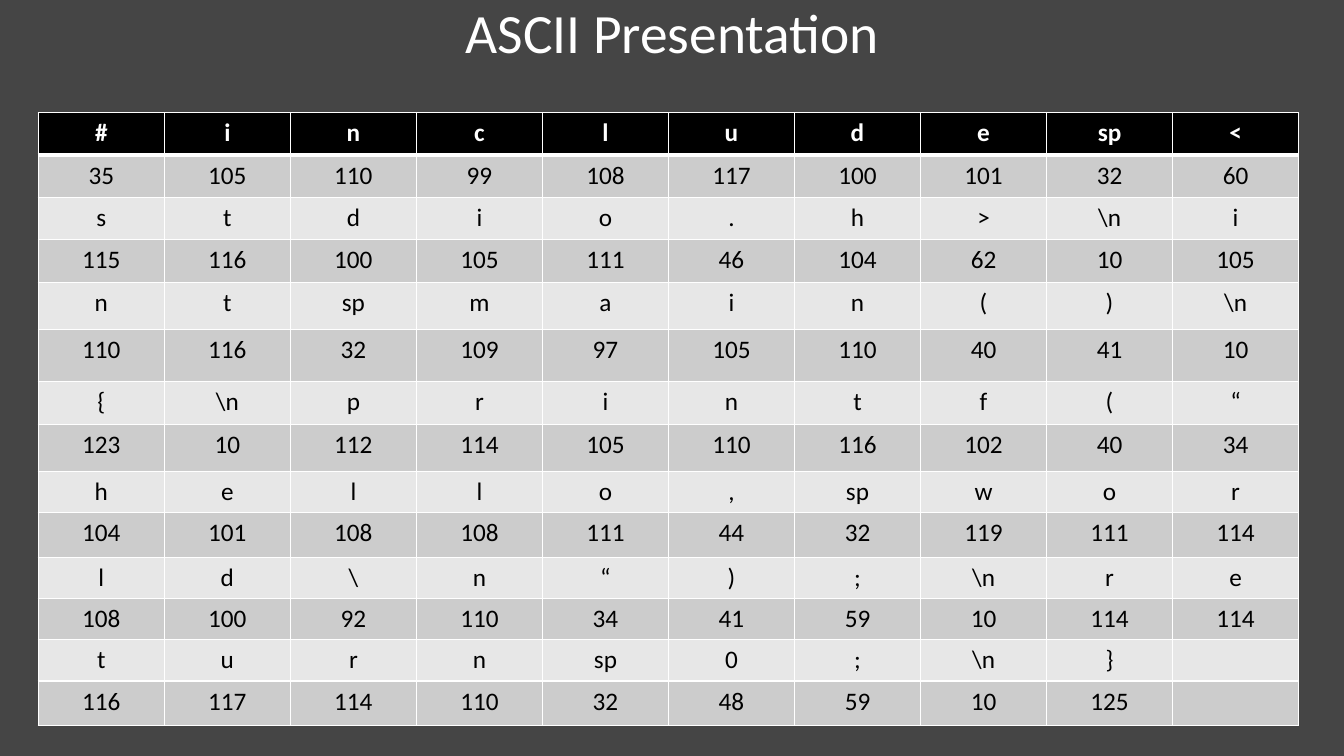
from dataclasses import dataclass

from lxml.etree import SubElement
from pptx import Presentation
from pptx.dml.color import RGBColor
from pptx.enum.text import MSO_ANCHOR as Anchor, MSO_AUTO_SIZE as AutoSize, PP_ALIGN as Align
from pptx.oxml.ns import qn
from pptx.util import Inches, Pt

WHITE, BLACK, SLATE = "FFFFFF", "000000", "454545"
DARK_BAND, LIGHT_BAND = "CCCCCC", "E7E7E7"
COLUMNS = 10
COLUMN_WIDTH = 1.25


@dataclass
class CodeLine:
    symbols: str
    codes: str
    symbol_height: float
    code_height: float


@dataclass
class RowStyle:
    fill: str
    color: str = BLACK
    bold: bool = False
    top: float = 1
    bottom: float = 1


LINES = [
    CodeLine("# i n c l u d e sp <", "35 105 110 99 108 117 100 101 32 60", 0.42, 0.42),
    CodeLine(r"s t d i o . h > \n i", "115 116 100 105 111 46 104 62 10 105", 0.42, 0.42),
    CodeLine(r"n t sp m a i n ( ) \n", "110 116 32 109 97 105 110 40 41 10", 0.47, 0.52),
    CodeLine(r"{ \n p r i n t f ( “", "123 10 112 114 105 110 116 102 40 34", 0.42, 0.47),
    CodeLine("h e l l o , sp w o r", "104 101 108 108 111 44 32 119 111 114", 0.41, 0.44),
    CodeLine(r"l d \ n “ ) ; \n r e", "108 100 92 110 34 41 59 10 114 114", 0.41, 0.41),
    CodeLine(r"t u r n sp 0 ; \n }", "116 117 114 110 32 48 59 10 125", 0.41, 0.44),
]
HEADER = RowStyle(WHITE and BLACK, WHITE, True, bottom=3)
FIRST_CODES = RowStyle(DARK_BAND, top=3)
SYMBOLS = RowStyle(LIGHT_BAND)
CODES = RowStyle(DARK_BAND)


def rgb(value: str) -> RGBColor:
    return RGBColor.from_string(value)


def write(para, text: str, size: float, color: str, bold: bool = False) -> None:
    para.alignment = Align.CENTER
    if not text:
        return
    span = para.add_run()
    span.text = text
    for name, value in {"name": "Calibri", "size": Pt(size), "bold": bold}.items():
        setattr(span.font, name, value)
    span.font.color.rgb = rgb(color)


def draw_borders(cell, style: RowStyle) -> None:
    properties = cell._tc.get_or_add_tcPr()
    widths = {"a:lnL": 1, "a:lnR": 1, "a:lnT": style.top, "a:lnB": style.bottom}
    for position, (tag, width) in enumerate(widths.items()):
        line = SubElement(properties, qn(tag), w=str(Pt(width)))
        SubElement(SubElement(line, qn("a:solidFill")), qn("a:srgbClr"), val=WHITE)
        properties.insert(position, line)


def fill_cell(cell, text: str, style: RowStyle) -> None:
    for side in ("left", "top", "right", "bottom"):
        setattr(cell, f"margin_{side}", Inches(0.05))
    cell.fill.solid()
    cell.fill.fore_color.rgb = rgb(style.fill)
    write(cell.text_frame.paragraphs[0], text, 18, style.color, style.bold)
    draw_borders(cell, style)


def add_title(page) -> None:
    title = page.shapes.title
    box = {"left": 0.92, "top": 0, "width": 11.5, "height": 0.71}
    for name, value in box.items():
        setattr(title, name, Inches(value))
    frame = title.text_frame
    settings = {"word_wrap": True, "auto_size": AutoSize.NONE, "vertical_anchor": Anchor.MIDDLE}
    for name, value in settings.items():
        setattr(frame, name, value)
    para = frame.paragraphs[0]
    para.line_spacing = 0.9
    write(para, "ASCII Presentation", 39.6, WHITE)


def add_code_table(page) -> None:
    heights = [height for line in LINES for height in (line.symbol_height, line.code_height)]
    texts = [text.split() for line in LINES for text in (line.symbols, line.codes)]
    styles = [HEADER, FIRST_CODES] + [SYMBOLS, CODES] * (len(LINES) - 1)
    table = page.shapes.add_table(
        len(texts), COLUMNS, Inches(0.38), Inches(1.12),
        Inches(COLUMNS * COLUMN_WIDTH), Inches(sum(heights)),
    ).table
    for column in table.columns:
        column.width = Inches(COLUMN_WIDTH)
    for row, height, values, style in zip(table.rows, heights, texts, styles):
        row.height = Inches(height)
        values += [""] * (COLUMNS - len(values))
        for cell, text in zip(row.cells, values):
            fill_cell(cell, text, style)


def main() -> None:
    deck = Presentation()
    deck.slide_width, deck.slide_height = Inches(13.33), Inches(7.5)
    page = deck.slides.add_slide(deck.slide_layouts[5])
    page.background.fill.solid()
    page.background.fill.fore_color.rgb = rgb(SLATE)
    add_title(page)
    add_code_table(page)
    deck.save("out.pptx")


if __name__ == "__main__":
    main()
